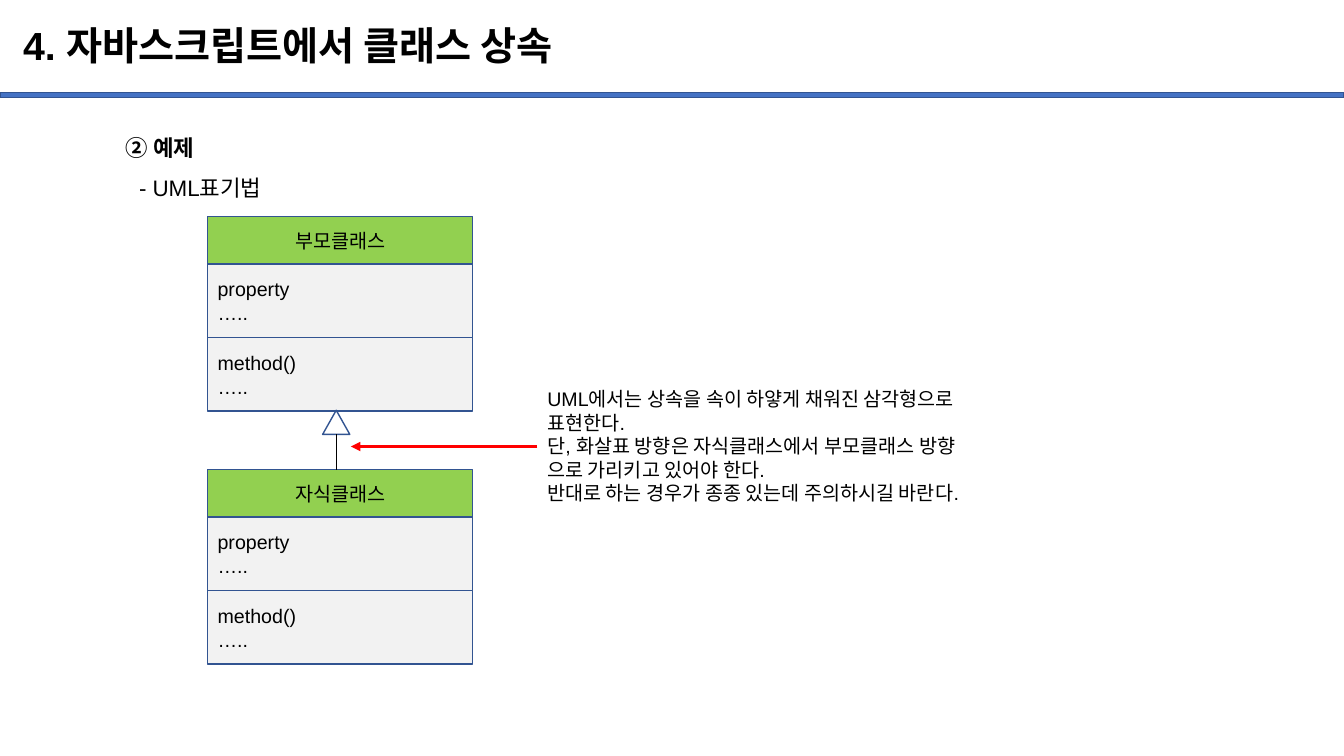
"""Build a slide on class inheritance in UML notation."""
from dataclasses import dataclass

from lxml import etree
from pptx import Presentation
from pptx.dml.color import RGBColor
from pptx.enum import shapes, text
from pptx.oxml import ns
from pptx.util import Inches, Pt


@dataclass(frozen=True)
class Theme:
    font: str = "Arial"
    black: str = "000000"
    bar: str = "4472C4"
    outline: str = "325491"
    header: str = "92D050"
    member: str = "F2F2F2"
    arrow: str = "FF0000"
    title_size: int = 28
    heading_size: int = 16
    body_size: int = 14


theme = Theme()


def write(shape, lines, size, align=text.PP_ALIGN.LEFT, bold=False, spacing=None):
    frame = shape.text_frame
    frame.text = "\n".join(lines)
    for para in frame.paragraphs:
        para.alignment = align
        para.line_spacing = spacing
        para.font.name = theme.font
        para.font.size = Pt(size)
        para.font.bold = bold
        para.font.color.rgb = RGBColor.from_string(theme.black)
    return frame


def add_box(kind, left, top, width, height, fill=None):
    box = slide.shapes.add_shape(kind, Inches(left), Inches(top), Inches(width), Inches(height))
    box.shadow.inherit = False
    if fill:
        box.fill.solid()
        box.fill.fore_color.rgb = RGBColor.from_string(fill)
    else:
        box.fill.background()
    box.line.color.rgb = RGBColor.from_string(theme.outline)
    box.line.width = Pt(1)
    return box


deck = Presentation()
deck.slide_width, deck.slide_height = Inches(13.33), Inches(7.5)
slide = deck.slides.add_slide(deck.slide_layouts[5])
rectangle = shapes.MSO_SHAPE.RECTANGLE

add_box(rectangle, 0, 0.92, 13.33, 0.05, theme.bar)

title = slide.shapes.title
title.left, title.top, title.width, title.height = Inches(0.13), Inches(0.1), Inches(11.5), Inches(0.74)
frame = write(title, ["4. 자바스크립트에서 클래스 상속"], theme.title_size, bold=True, spacing=0.9)
frame.vertical_anchor = text.MSO_ANCHOR.MIDDLE

heading = slide.shapes.add_textbox(Inches(1.09), Inches(1.15), Inches(11.72), Inches(4.9))
frame = write(heading, ["② 예제", "- UML표기법"], theme.heading_size, spacing=1.5)
frame.word_wrap = True
frame.paragraphs[0].font.bold = True
for para, indent in zip(frame.paragraphs, (0.06, 0.19)):
    para._p.get_or_add_pPr().set("marL", str(Inches(indent)))

class_left, class_width = 2.06, 2.63
header_height, member_height = 0.47, 0.73
for class_name, class_top in (("부모클래스", 2.15), ("자식클래스", 4.66)):
    header = add_box(rectangle, class_left, class_top, class_width, header_height, theme.header)
    frame = write(header, [class_name], theme.body_size, text.PP_ALIGN.CENTER)
    frame.vertical_anchor = text.MSO_ANCHOR.MIDDLE
    for row, member in enumerate(("property", "method()")):
        top = class_top + header_height + row * member_height
        box = add_box(rectangle, class_left, top, class_width, member_height, theme.member)
        frame = write(box, [member, "….."], theme.body_size)
        frame.vertical_anchor = text.MSO_ANCHOR.MIDDLE

add_box(shapes.MSO_SHAPE.ISOSCELES_TRIANGLE, 3.2, 4.07, 0.27, 0.24)

note = slide.shapes.add_textbox(Inches(5.33), Inches(3.79), Inches(4.78), Inches(1.28))
frame = write(note, [
    "UML에서는 상속을 속이 하얗게 채워진 삼각형으로",
    "표현한다.",
    "단, 화살표 방향은 자식클래스에서 부모클래스 방향",
    "으로 가리키고 있어야 한다.",
    "반대로 하는 경우가 종종 있는데 주의하시길 바란다.",
], theme.body_size)
frame.word_wrap = False
frame.auto_size = text.MSO_AUTO_SIZE.SHAPE_TO_FIT_TEXT

connectors = []
for start_x, start_y, end_x, end_y, color, weight in (
    (3.34, 4.31, 3.34, 4.66, theme.black, 0.75),
    (5.33, 4.43, 3.48, 4.43, theme.arrow, 2.25),
):
    connector = slide.shapes.add_connector(
        shapes.MSO_CONNECTOR.STRAIGHT, Inches(start_x), Inches(start_y), Inches(end_x), Inches(end_y))
    connector.line.color.rgb = RGBColor.from_string(color)
    connector.line.width = Pt(weight)
    etree.SubElement(connector._element.spPr, ns.qn("a:effectLst"))
    connectors.append(connector)

inheritance_line, note_arrow = connectors
note_arrow.begin_connect(note, 1)
etree.SubElement(note_arrow.line._get_or_add_ln(), ns.qn("a:tailEnd"), type="triangle")

deck.save("out.pptx")
